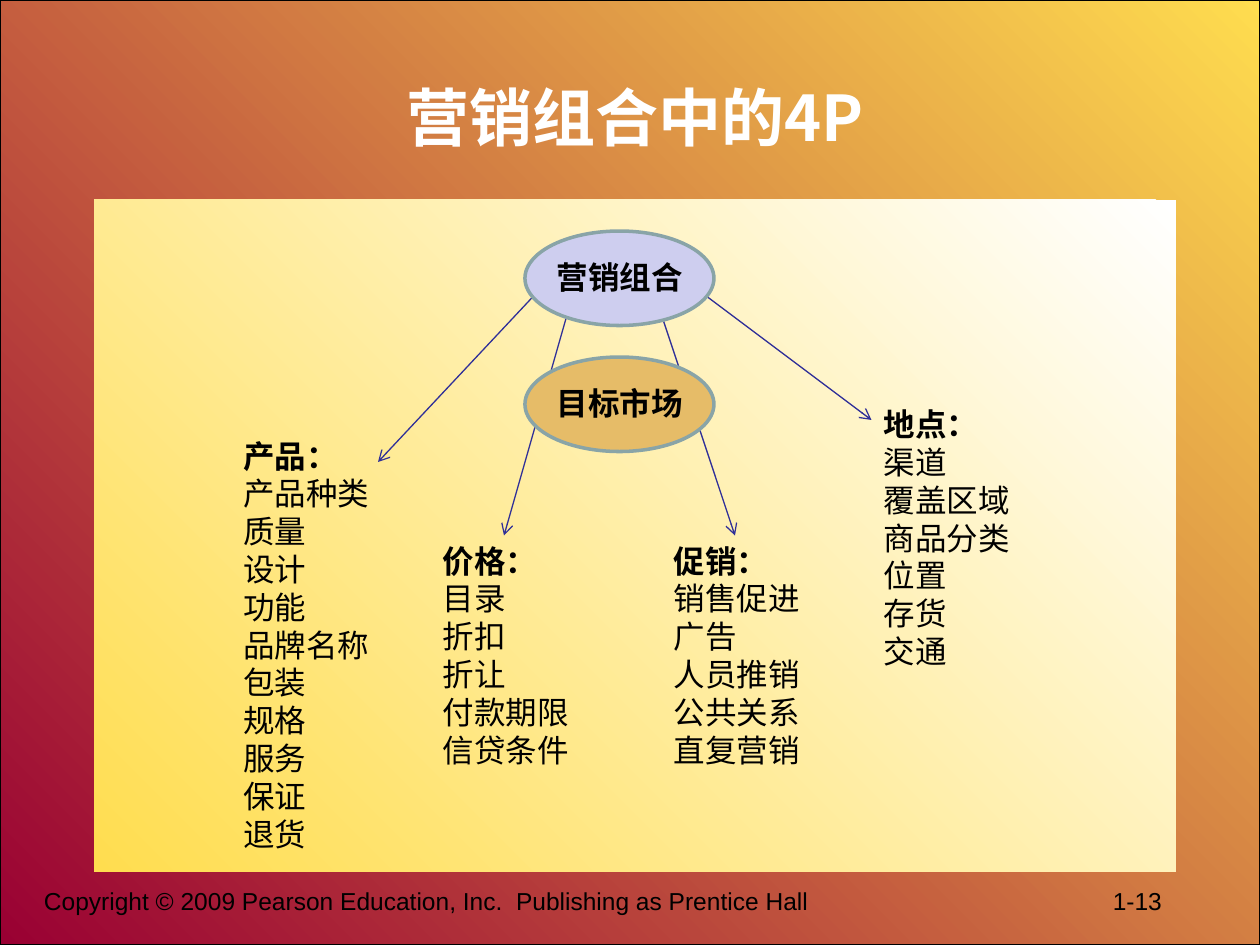
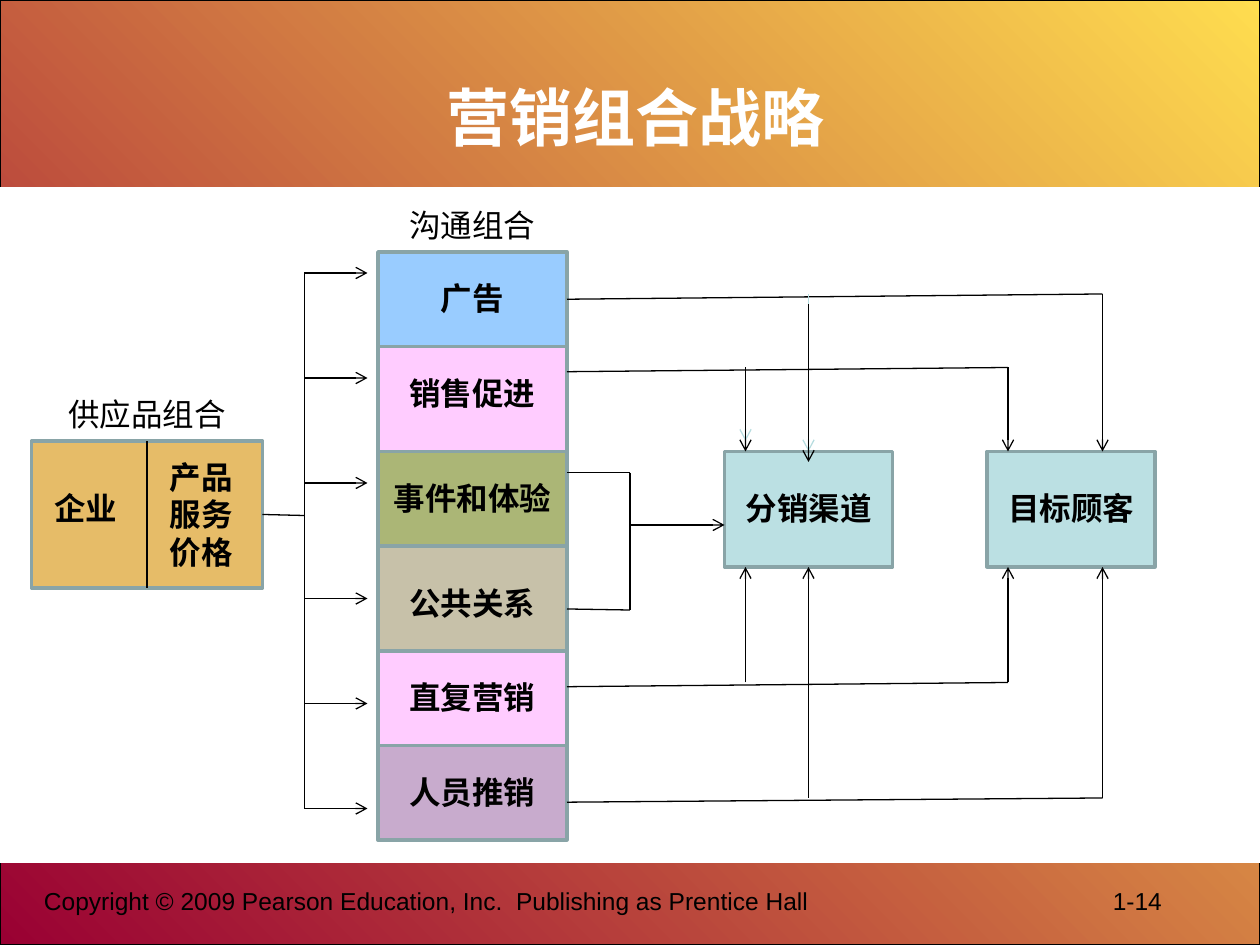
from lxml.etree import SubElement
from pptx import Presentation
from pptx.dml.color import RGBColor
from pptx.enum.shapes import MSO_CONNECTOR, MSO_SHAPE
from pptx.enum.text import MSO_ANCHOR, MSO_AUTO_SIZE, PP_ALIGN
from pptx.oxml.ns import qn
from pptx.util import Pt

PX = 7620
RECT, OVAL = MSO_SHAPE.RECTANGLE, MSO_SHAPE.OVAL
LEFT, MID = PP_ALIGN.LEFT, PP_ALIGN.CENTER
NOTO, ARIAL, TIMES = "Noto Sans CJK SC", "Arial", "Times New Roman"
BLACK, WHITE, GOLD, WINE = "000000", "FFFFFF", "FFDD4F", "990033"
EDGE, NAVY, SAND, TEAL, PALE = "89A4A7", "2F2F98", "E6BC68", "BBE0E3", "B6DCDF"
PINK = "FFCCFF"
hue = RGBColor.from_string


def box(page, kind, area, fill, edge=EDGE, width=2):
    shape = page.shapes.add_shape(kind, *[v * PX for v in area])
    shape.shadow.inherit = False
    if isinstance(fill, tuple):
        shape.fill.gradient()
        shape.fill.gradient_angle = 225
        for stop, tint in zip(shape.fill.gradient_stops, fill):
            stop.color.rgb = hue(tint)
    else:
        shape.fill.solid()
        shape.fill.fore_color.rgb = hue(fill)
    if edge:
        shape.line.color.rgb = hue(edge)
        shape.line.width = Pt(width)
    else:
        shape.line.fill.background()
    return shape


def link(page, ends, tint=BLACK, arrow=True, start=None, stop=None):
    wire = page.shapes.add_connector(MSO_CONNECTOR.STRAIGHT, *[v * PX for v in ends])
    if start:
        wire.begin_connect(*start)
    if stop:
        wire.end_connect(*stop)
    wire.line.color.rgb = hue(tint)
    wire.line.width = Pt(0.75)
    props = wire.element.spPr
    if arrow:
        SubElement(props.find(qn("a:ln")), qn("a:tailEnd"), type="arrow")
    SubElement(props, qn("a:effectLst"))


deck = Presentation()
deck.slide_width, deck.slide_height = 1200 * PX, 900 * PX
four, plan = [deck.slides.add_slide(deck.slide_layouts[6]) for _ in range(2)]

texts = []
for page, title, num in ((four, "营销组合中的4P", "1-13"), (plan, "营销组合战略", "1-14")):
    box(page, RECT, (0, 0, 1200, 900), (GOLD, WINE), BLACK, 0.75)
    foot = "Copyright © 2009 Pearson Education, Inc.  Publishing as Prentice Hall\t" + num
    texts += [
        (page, "title", (100, 36, 1010, 150), [title]),
        (page, "foot", (30, 838, 1120, 62), [foot]),
    ]

box(four, RECT, (90, 190, 1030, 640), (WHITE, GOLD), None)
for ends in (
    (540, 300, 480, 510),
    (630, 300, 700, 510),
    (670, 280, 830, 400),
    (510, 280, 360, 440),
):
    link(four, ends, NAVY)
for top, fill, name in ((340, SAND, "目标市场"), (220, "CECEEF", "营销组合")):
    box(four, OVAL, (500, top, 180, 90), fill)
    texts.append((four, "label", (510, top + 20, 160, 48), [name]))

for style, left, top, width, names in (
    ("place", 830, 380, 250, "地点： 渠道 覆盖区域 商品分类 位置 存货 交通"),
    ("list", 630, 510, 160, "促销： 销售促进 广告 人员推销 公共关系 直复营销"),
    ("list", 410, 510, 150, "价格： 目录 折扣 折让 付款期限 信贷条件"),
    ("list", 220, 410, 170,
     "产品： 产品种类 质量 设计 功能 品牌名称 包装 规格 服务 保证 退货"),
):
    rows = names.split()
    texts.append((four, style, (left, top, width, 12 + 36 * len(rows)), rows))

box(plan, RECT, (0, 180, 1200, 640), WHITE, WHITE)
offer = box(plan, RECT, (30, 420, 220, 140), SAND)
link(plan, (140, 420, 140, 560), BLACK, False, (offer, 0), (offer, 2))
link(plan, (250, 490, 290, 491), BLACK, False, (offer, 3))
link(plan, (290, 260, 290, 770), BLACK, False)
for y in (260, 360, 460, 570, 670, 770):
    link(plan, (290, y, 350, y))

mix = []
top = 240
for name, high, gap, fill in (
    ("广告", 90, 20, "99CCFF"),
    ("销售促进", 100, 20, PINK),
    ("事件和体验", 90, 20, "ABB676"),
    ("公共关系", 100, 30, "C7C1A9"),
    ("直复营销", 90, 20, PINK),
    ("人员推销", 90, 20, "C8ABCD"),
):
    mix.append(box(plan, RECT, (360, top, 180, high), fill))
    texts.append((plan, "name", (360, top + gap, 180, 48), [name]))
    top += high

path = box(plan, RECT, (690, 430, 160, 110), TEAL)
box(plan, RECT, (940, 430, 160, 110), TEAL)
link(plan, (540, 285, 1050, 280), BLACK, False, (mix[0], 3))
for ends in (
    (540, 764, 1050, 760),
    (540, 654, 960, 650),
    (540, 354, 960, 350),
    (540, 450, 600, 450),
    (540, 580, 600, 581),
    (600, 450, 600, 581),
):
    link(plan, ends, BLACK, False)
link(plan, (770, 280, 770, 430), PALE, True, None, (path, 0))
link(plan, (710, 350, 710, 420), PALE)
link(plan, (770, 760, 770, 540), BLACK, True, None, (path, 2))
for ends in (
    (1050, 280, 1050, 430),
    (1050, 760, 1050, 540),
    (960, 350, 960, 430),
    (960, 650, 960, 540),
    (710, 350, 710, 430),
    (710, 650, 710, 540),
    (770, 290, 770, 440),
    (600, 500, 690, 500),
):
    link(plan, ends)

texts += [
    (plan, "tag", (40, 370, 200, 48), ["供应品组合"]),
    (plan, "tag", (360, 190, 180, 48), ["沟通组合"]),
    (plan, "side", (40, 460, 90, 48), ["企业"]),
    (plan, "side", (150, 430, 90, 120), ["产品", "服务", "价格"]),
    (plan, "name", (690, 460, 160, 48), ["分销渠道"]),
    (plan, "label", (940, 460, 160, 48), ["目标顾客"]),
]

looks = {
    "title": (36, NOTO, NOTO, WHITE, 1, MID),
    "foot": (14, ARIAL, ARIAL, BLACK, 0, LEFT),
    "label": (18, ARIAL, ARIAL, BLACK, 1, MID),
    "name": (18, NOTO, NOTO, BLACK, 1, MID),
    "tag": (18, NOTO, NOTO, BLACK, 0, MID),
    "side": (18, ARIAL, ARIAL, BLACK, 3, LEFT),
    "list": (18, ARIAL, ARIAL, BLACK, 1, LEFT),
    "place": (18, TIMES, ARIAL, BLACK, 1, LEFT),
}
for page, style, area, rows in texts:
    size, lead, rest, tint, bold, align = looks[style]
    frame = page.shapes.add_textbox(*[v * PX for v in area]).text_frame
    frame.word_wrap = True
    if style == "title":
        frame.vertical_anchor = MSO_ANCHOR.MIDDLE
    elif style != "foot":
        frame.auto_size = MSO_AUTO_SIZE.SHAPE_TO_FIT_TEXT
    for i, row in enumerate(rows):
        para = frame.add_paragraph() if i else frame.paragraphs[0]
        para.alignment = align
        if style == "foot":
            tabs = SubElement(para._p.get_or_add_pPr(), qn("a:tabLst"))
            SubElement(tabs, qn("a:tab"), pos=str(1018 * PX), algn="l")
        run = para.add_run()
        run.text = row
        run.font.size = Pt(size)
        run.font.bold = i < bold
        run.font.color.rgb = hue(tint)
        run.font.name = rest if i else lead
        SubElement(run._r.get_or_add_rPr(), qn("a:ea"), typeface=NOTO)

deck.save("out.pptx")
